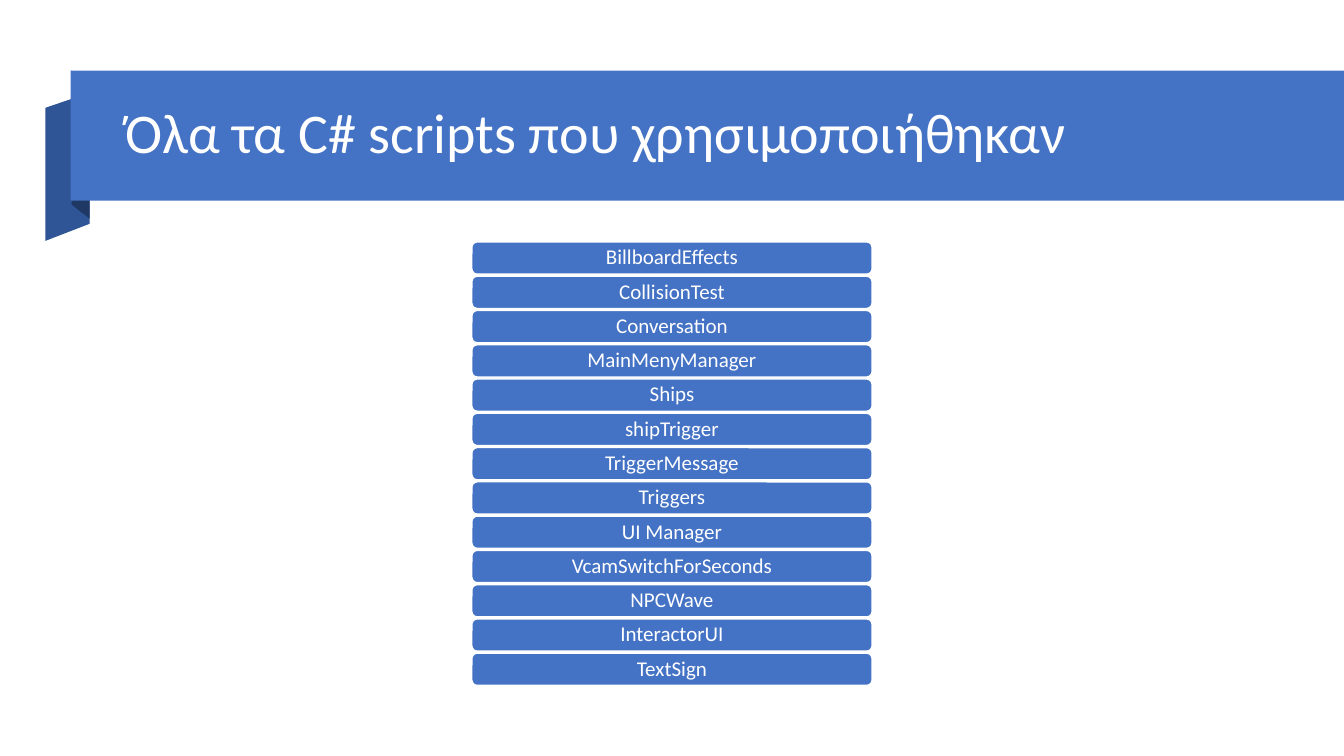
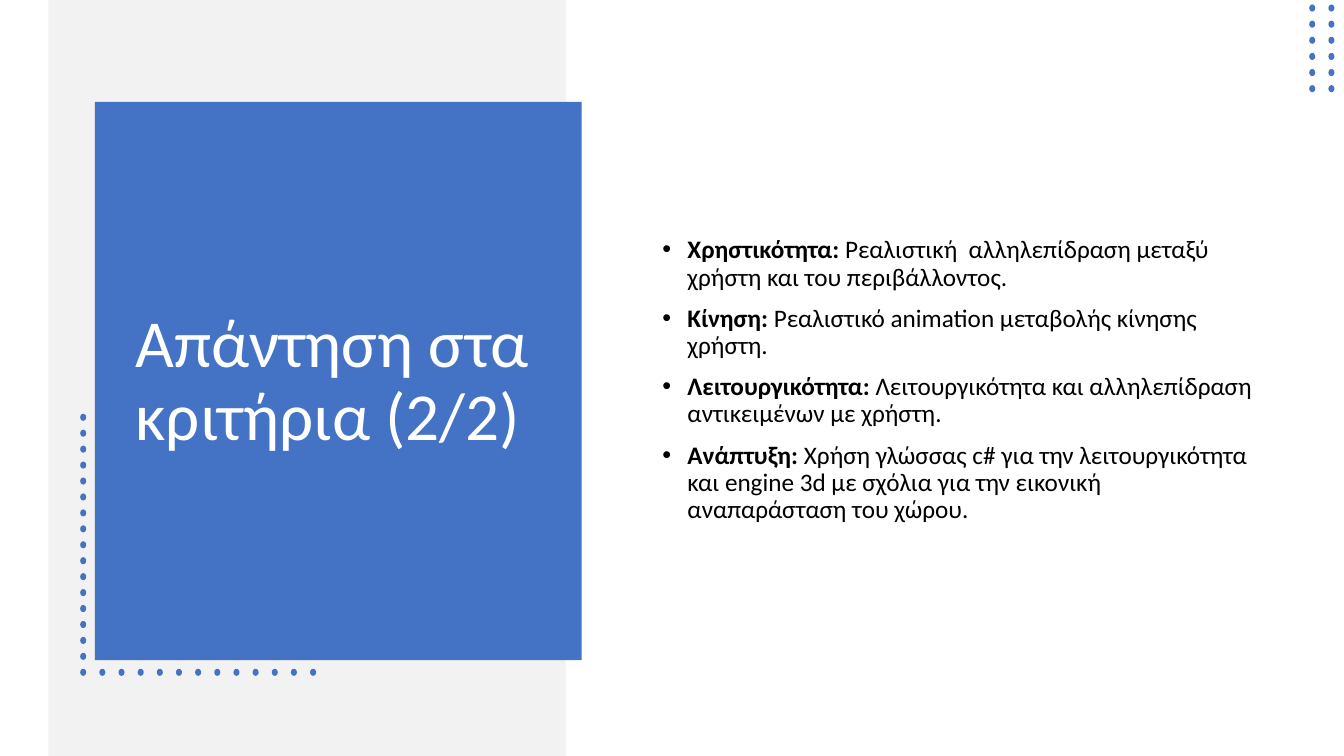
"""Build two slides: a list of C# scripts and the answers to the criteria."""
import pptx
import pptx.dml.color
import pptx.enum.shapes
import pptx.enum.text
import pptx.util
import lxml.etree

Inches = pptx.util.Inches
Pt = pptx.util.Pt
RGBColor = pptx.dml.color.RGBColor
SHAPE = pptx.enum.shapes.MSO_SHAPE
ALIGN = pptx.enum.text.PP_ALIGN
MIDDLE = pptx.enum.text.MSO_ANCHOR.MIDDLE

BLUE = RGBColor(0x44, 0x72, 0xC4)
DARK = RGBColor(0x2F, 0x55, 0x97)
NAVY = RGBColor(0x20, 0x38, 0x64)
PALE = RGBColor(0xF2, 0xF2, 0xF2)
WHITE = RGBColor(0xFF, 0xFF, 0xFF)
BLACK = RGBColor(0, 0, 0)
FONT = "Calibri"

SCRIPTS = [
    "BillboardEffects", "CollisionTest", "Conversation", "MainMenyManager",
    "Ships", "shipTrigger", "TriggerMessage", "Triggers", "UI Manager",
    "VcamSwitchForSeconds", "NPCWave", "InteractorUI", "TextSign",
]
POINTS = [
    ("Χρηστικότητα: ",
     "Ρεαλιστική  αλληλεπίδραση μεταξύ χρήστη και του περιβάλλοντος."),
    ("Κίνηση: ", "Ρεαλιστικό animation μεταβολής κίνησης χρήστη."),
    ("Λειτουργικότητα: ",
     "Λειτουργικότητα και αλληλεπίδραση αντικειμένων με χρήστη."),
    ("Ανάπτυξη: ",
     "Χρήση γλώσσας c# για την λειτουργικότητα και engine 3d με σχόλια "
     "για την εικονική αναπαράσταση του χώρου."),
]


class Deck:
    def __init__(self):
        self.show = pptx.Presentation()
        self.show.slide_width = Inches(13.33)
        self.show.slide_height = Inches(7.5)

    def page(self):
        self.slide = self.show.slides.add_slide(self.show.slide_layouts[6])

    def paint(self, shape, fill):
        shape.shadow.inherit = False
        shape.fill.solid()
        shape.fill.fore_color.rgb = fill
        shape.line.fill.background()
        return shape

    def block(self, left, top, width, height, fill, kind=SHAPE.RECTANGLE):
        shape = self.slide.shapes.add_shape(
            kind, Inches(left), Inches(top), Inches(width), Inches(height))
        return self.paint(shape, fill)

    def fold(self, points, fill):
        spots = [(Inches(x), Inches(y)) for x, y in points]
        form = self.slide.shapes.build_freeform(*spots[0])
        form.add_line_segments(spots[1:], close=True)
        self.paint(form.convert_to_shape(), fill)

    def style(self, para, size, color):
        para.line_spacing = 0.9
        for run in para.runs:
            run.font.name = FONT
            run.font.size = Pt(size)
            run.font.color.rgb = color

    def frame(self, left, top, width, height):
        box = self.slide.shapes.add_textbox(
            Inches(left), Inches(top), Inches(width), Inches(height))
        box.text_frame.word_wrap = True
        box.text_frame.vertical_anchor = MIDDLE
        return box.text_frame

    def title(self, text, left, top, width, height, size):
        frame = self.frame(left, top, width, height)
        frame.text = text
        self.style(frame.paragraphs[0], size, WHITE)

    def label(self, text, left, top, width, height):
        shape = self.block(left, top, width, height, BLUE,
                           SHAPE.ROUNDED_RECTANGLE)
        shape.line.color.rgb = WHITE
        shape.line.width = Pt(1)
        frame = shape.text_frame
        frame.margin_left = frame.margin_right = Inches(0.06)
        frame.margin_top = frame.margin_bottom = Inches(0.03)
        frame.vertical_anchor = MIDDLE
        frame.text = text
        para = frame.paragraphs[0]
        para.alignment = ALIGN.CENTER
        self.style(para, 15, WHITE)

    def dots(self, left, top, cols, rows, across=0.19, down=0.16):
        for col in range(cols):
            for row in range(rows):
                dot = self.block(left + col * across, top + row * down,
                                 0.07, 0.06, BLUE, SHAPE.OVAL)
                dot.rotation = 90

    def bullets(self, items, left, top, width, height):
        frame = self.frame(left, top, width, height)
        for index, (head, body) in enumerate(items):
            para = frame.add_paragraph() if index else frame.paragraphs[0]
            props = para._p.get_or_add_pPr()
            props.set("marL", str(Inches(0.25)))
            props.set("indent", str(Inches(-0.25)))
            space = props.nsmap["a"]
            font = lxml.etree.SubElement(props, "{%s}buFont" % space)
            font.set("typeface", "Arial")
            mark = lxml.etree.SubElement(props, "{%s}buChar" % space)
            mark.set("char", "•")
            for text, bold in ((head, True), (body, False)):
                run = para.add_run()
                run.text = text
                run.font.bold = bold
            if index:
                para.space_before = Pt(10)
            self.style(para, 18, BLACK)


def scripts(deck):
    deck.page()
    deck.fold([(0.89, 2.22), (0.45, 2.39), (0.45, 1.07), (0.89, 0.92)], DARK)
    deck.fold([(0.89, 2.17), (0.71, 2.03), (0.71, 0.7), (0.89, 0.85)], NAVY)
    deck.block(0.7, 0.7, 12.63, 1.29, BLUE)
    deck.title("Όλα τα C# scripts που χρησιμοποιήθηκαν",
               1.15, 0.86, 11.27, 0.96, 40)
    for index, name in enumerate(SCRIPTS):
        deck.label(name, 4.68, 2.4 + index * 0.34, 3.97, 0.32)


def answers(deck):
    deck.page()
    deck.block(0.48, 0, 5.13, 7.5, PALE)
    deck.block(0.94, 1.01, 4.83, 5.54, BLUE)
    deck.dots(0.79, 4.11, 1, 17, down=2.53 / 16)
    deck.dots(0.98, 6.64, 12, 1)
    deck.title("Απάντηση στα κριτήρια (2/2)", 1.25, 1.45, 4.14, 4.68, 48)
    deck.dots(12.98, 0.05, 2, 6)
    deck.bullets(POINTS, 6.47, 1.3, 6.08, 4.95)


def main():
    deck = Deck()
    scripts(deck)
    answers(deck)
    deck.show.save("out.pptx")


if __name__ == "__main__":
    main()
